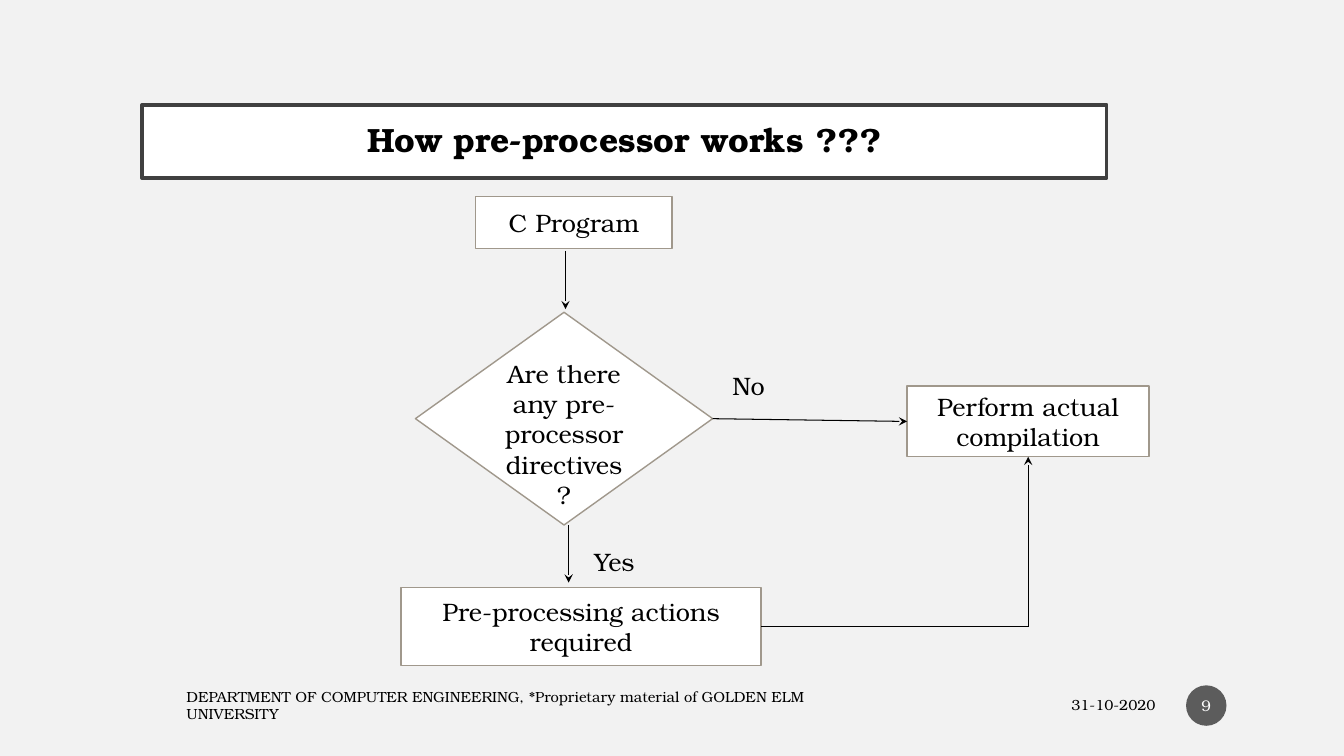
from dataclasses import dataclass

from lxml import etree
from pptx import Presentation
from pptx import util as u
from pptx.dml.color import RGBColor
from pptx.enum import shapes, text
from pptx.oxml import ns

Cm, Pt = u.Cm, u.Pt
SHAPE, ALIGN, ANCHOR = shapes.MSO_SHAPE, text.PP_ALIGN, text.MSO_ANCHOR
TOP, LEFT, BOTTOM, RIGHT = range(4)  # connection sites


@dataclass(frozen=True)
class Theme:
    font: str = "TeX Gyre Bonum"
    back: str = "F2F2F2"
    ink: str = "000000"
    paper: str = "FFFFFF"
    frame: str = "404040"
    outline: str = "A0988C"
    badge: str = "1D1D1D"
    title: float = 24
    body: float = 18
    number: float = 11
    footer: float = 10.5


THEME = Theme()


@dataclass(frozen=True)
class Box:
    left: float
    top: float
    width: float
    height: float

    def inner(self, left, top, width, height):
        return Box(self.left + left, self.top + top, width, height)

    def point(self, x, y):
        return Cm(self.left + x), Cm(self.top + y)

    def lengths(self):
        return Cm(self.left), Cm(self.top), Cm(self.width), Cm(self.height)


def rgb(value):
    return RGBColor.from_string(value)


def write(shape, words, size=THEME.body, color=THEME.ink, bold=False,
          align=ALIGN.CENTER, anchor=ANCHOR.MIDDLE, spacing=None,
          insets=(0.25, 0.13, 0.25, 0.13)):
    """Fill a shape with one formatted paragraph; insets run left, top, right, bottom."""
    frame = shape.text_frame
    frame.word_wrap = True
    frame.auto_size = text.MSO_AUTO_SIZE.NONE
    frame.vertical_anchor = anchor
    (frame.margin_left, frame.margin_top,
     frame.margin_right, frame.margin_bottom) = map(Cm, insets)
    para = frame.paragraphs[0]
    para.alignment = align
    if spacing:
        para.line_spacing = spacing
    span = para.add_run()
    span.text = words
    span.font.name = THEME.font
    span.font.size = Pt(size)
    span.font.bold = bold
    span.font.color.rgb = rgb(color)


def paint(shape, fill, line=None, weight=1):
    shape.fill.solid()
    shape.fill.fore_color.rgb = rgb(fill)
    if line:
        shape.line.color.rgb = rgb(line)
        shape.line.width = Pt(weight)
    else:
        shape.line.fill.background()


def add_label(page, box, words, **style):
    write(page.shapes.add_textbox(*box.lengths()), words, **style)


def add_node(page, box, words, kind=SHAPE.RECTANGLE, **style):
    node = page.shapes.add_shape(kind, *box.lengths())
    node.shadow.inherit = False
    paint(node, THEME.paper, THEME.outline)
    write(node, words, **style)
    return node


def add_line(page, start, end, begin=None, finish=None, arrow=True):
    """Draw a line; begin and finish are optional (shape, site) joints."""
    line = page.shapes.add_connector(shapes.MSO_CONNECTOR.STRAIGHT, *start, *end)
    if begin:
        line.begin_connect(*begin)
    if finish:
        line.end_connect(*finish)
    line.line.color.rgb = rgb(THEME.ink)
    line.line.width = Pt(0.75)
    properties = line._element.spPr
    if arrow:
        stroke = properties.find(ns.qn("a:ln"))
        etree.SubElement(stroke, ns.qn("a:tailEnd"), type="stealth")
    etree.SubElement(properties, ns.qn("a:effectLst"))


def title_bar(page, box, words):
    title = page.shapes.title
    title.left, title.top, title.width, title.height = box.lengths()
    paint(title, THEME.paper, THEME.frame, 2.5)
    write(title, words, size=THEME.title, bold=True, spacing=0.9, insets=(0.51,) * 4)


def flowchart(page, box):
    # Steps
    add_node(page, box.inner(1.88, 0, 4.95, 1.32), "C Program")
    decision = add_node(page, box.inner(0.36, 2.92, 7.49, 5.36),
                        "Are there any pre-processor directives?",
                        kind=SHAPE.FLOWCHART_DECISION, insets=(0.25, 0.9, 0.25, 0.13))
    actions = add_node(page, box.inner(0, 9.86, 9.07, 1.96),
                       "Pre-processing actions required")
    compilation = add_node(page, box.inner(12.75, 4.78, 6.1, 1.78),
                           "Perform actual compilation")

    # Downward arrows
    add_line(page, box.point(4.14, 1.37), box.point(4.14, 2.84))
    add_line(page, box.point(4.22, 8.28), box.point(4.22, 9.73))

    # Ways to compilation
    corner = box.point(15.8, 10.84)
    add_line(page, box.point(7.85, 5.6), box.point(12.75, 5.67),
             begin=(decision, RIGHT), finish=(compilation, LEFT))
    add_line(page, box.point(9.07, 10.84), corner, begin=(actions, RIGHT), arrow=False)
    add_line(page, corner, box.point(15.8, 6.56), finish=(compilation, BOTTOM))

    # Answers
    for words, x, y in (("Yes", 4.62, 8.69), ("No", 8.1, 4.24)):
        add_label(page, box.inner(x, y, 1.7, 1.02), words,
                  align=ALIGN.LEFT, anchor=ANCHOR.TOP)


def footer(page, box):
    add_label(page, box.inner(0, 0, 16.38, box.height),
              "DEPARTMENT OF COMPUTER ENGINEERING, *Proprietary material of "
              "GOLDEN ELM UNIVERSITY", size=THEME.footer, align=ALIGN.LEFT)
    add_label(page, box.inner(17.27, 0, 7.65, box.height), "31-10-2020",
              size=THEME.footer, align=ALIGN.RIGHT)

    # Page number badge, 70 % opaque
    badge = page.shapes.add_shape(SHAPE.OVAL, *box.inner(25.44, -0.05, 1.02, 1.02).lengths())
    badge.shadow.inherit = False
    paint(badge, THEME.badge)
    tint = badge._element.spPr.find(".//" + ns.qn("a:srgbClr"))
    etree.SubElement(tint, ns.qn("a:alpha"), val="70000")
    write(badge, "9", size=THEME.number, color=THEME.paper, insets=(0.05, 0.13, 0.05, 0.13))


def main():
    deck = Presentation()
    deck.slide_width, deck.slide_height = Cm(33.87), Cm(19.05)
    page = deck.slides.add_slide(deck.slide_layouts.get_by_name("Title Only"))
    page.background.fill.solid()
    page.background.fill.fore_color.rgb = rgb(THEME.back)

    title_bar(page, Box(3.58, 2.64, 24.31, 1.85), "How pre-processor works ???")
    flowchart(page, Box(10.11, 4.95, 18.85, 11.82))
    footer(page, Box(4.45, 17.32, 26.46, 0.89))
    deck.save("out.pptx")


if __name__ == "__main__":
    main()
